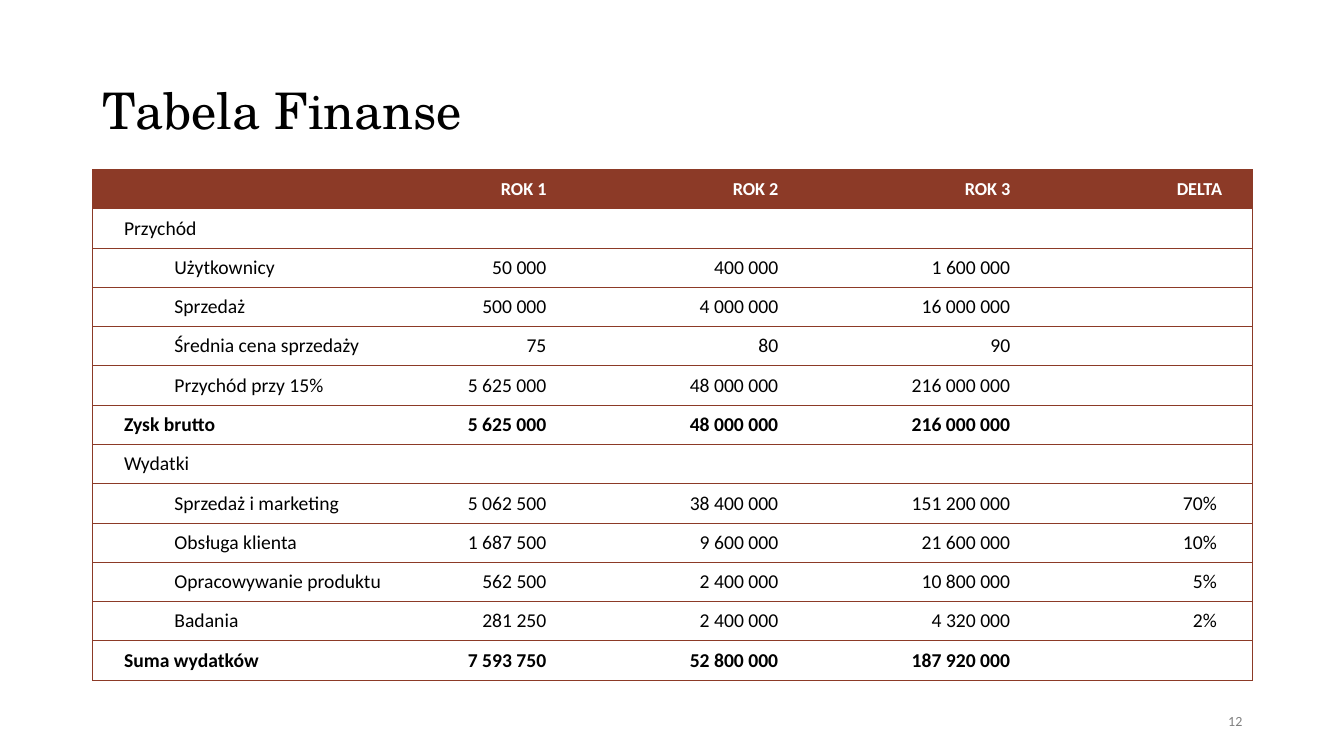
from lxml.etree import SubElement
from pptx import Presentation
from pptx.dml.color import RGBColor
from pptx.enum.text import MSO_ANCHOR, PP_ALIGN
from pptx.oxml import parse_xml
from pptx.oxml.ns import nsdecls, qn
from pptx.util import Inches, Pt

RUST, WHITE, BLACK, GRAY = "8C3A27", "FFFFFF", "000000", "808080"
BODY_FONT, TITLE_FONT = "Calibri", "TeX Gyre Schola"

HEADINGS = ["", "ROK 1", "ROK 2", "ROK 3", "DELTA"]
SECTIONS = [
    ("Przychód", [
        ("Użytkownicy", [50000, 400000, 1600000], ""),
        ("Sprzedaż", [500000, 4000000, 16000000], ""),
        ("Średnia cena sprzedaży", [75, 80, 90], ""),
        ("Przychód przy 15%", [5625000, 48000000, 216000000], ""),
    ], ("Zysk brutto", [5625000, 48000000, 216000000])),
    ("Wydatki", [
        ("Sprzedaż i marketing", [5062500, 38400000, 151200000], "70%"),
        ("Obsługa klienta", [1687500, 9600000, 21600000], "10%"),
        ("Opracowywanie produktu", [562500, 2400000, 10800000], "5%"),
        ("Badania", [281250, 2400000, 4320000], "2%"),
    ], ("Suma wydatków", [7593750, 52800000, 187920000])),
]
COLUMN_WIDTHS = [2.99, 1.61, 2.3, 2.3, 2.3]
ROW_HEIGHT = 0.39


def rgb(color):
    return RGBColor.from_string(color)


def write(paragraph, text, color, **font_values):
    """Fill a paragraph; an empty one keeps the size so its row does not grow."""
    if not text:
        end = SubElement(paragraph._p, qn("a:endParaRPr"))
        end.set("sz", str(font_values["size"].centipoints))
        return
    run = paragraph.add_run()
    run.text = text
    run.font.color.rgb = rgb(color)
    for name, value in font_values.items():
        setattr(run.font, name, value)


def add_label(slide, left, top, width, height, text, color, align, **font_values):
    frame = slide.shapes.add_textbox(
        Inches(left), Inches(top), Inches(width), Inches(height)).text_frame
    frame.word_wrap = True
    frame.vertical_anchor = MSO_ANCHOR.MIDDLE
    paragraph = frame.paragraphs[0]
    paragraph.alignment = align
    write(paragraph, text, color, **font_values)
    return paragraph


def set_borders(cell, visible_sides):
    """Draw the named sides (L, R, T, B) and hide the others."""
    properties = cell._tc.get_or_add_tcPr()
    for position, side in enumerate("LRTB"):
        fill = (f'<a:solidFill><a:srgbClr val="{RUST}"/></a:solidFill>'
                if side in visible_sides else "<a:noFill/>")
        properties.insert(position, parse_xml(
            f'<a:ln{side} {nsdecls("a")} w="{Pt(0.5)}">{fill}</a:ln{side}>'))


def grouped(numbers):
    return [f"{number:,}".replace(",", " ") for number in numbers]


def table_rows():
    """Yield the kind and the cell texts of each row."""
    yield "heading", HEADINGS
    for section, items, (total, sums) in SECTIONS:
        yield "section", [section, "", "", "", ""]
        for item, numbers, delta in items:
            yield "item", [item, *grouped(numbers), delta]
        yield "total", [total, *grouped(sums), ""]


def fill_cell(cell, text, kind, column):
    heading = kind == "heading"
    first, last = column == 0, column == len(HEADINGS) - 1
    cell.fill.solid()
    cell.fill.fore_color.rgb = rgb(RUST if heading else WHITE)
    cell.vertical_anchor = MSO_ANCHOR.MIDDLE
    set_borders(cell, "TB" + "L" * first + "R" * last)
    paragraph = cell.text_frame.paragraphs[0]
    if first:
        cell.margin_left = Inches(0.31)
        if kind == "item":
            paragraph.level = 1
            indent = paragraph._p.get_or_add_pPr()
            indent.set("marL", str(Inches(0.5)))
            indent.set("indent", "0")
    else:
        paragraph.alignment = PP_ALIGN.RIGHT
    if last:
        cell.margin_right = Inches(0.3 if heading else 0.35)
    write(paragraph, text, WHITE if heading else BLACK, name=BODY_FONT,
          size=Pt(13 if heading else 14), bold=kind in ("heading", "total"))


def add_finance_table(slide, left, top):
    rows = list(table_rows())
    table = slide.shapes.add_table(
        len(rows), len(HEADINGS), Inches(left), Inches(top),
        Inches(sum(COLUMN_WIDTHS)), Inches(ROW_HEIGHT * len(rows))).table
    table.horz_banding = False
    for column, width in zip(table.columns, COLUMN_WIDTHS):
        column.width = Inches(width)
    for row, (kind, texts) in enumerate(rows):
        table.rows[row].height = Inches(ROW_HEIGHT)
        for column, text in enumerate(texts):
            fill_cell(table.cell(row, column), text, kind, column)


def main():
    presentation = Presentation()
    presentation.slide_width = Inches(13.33)
    presentation.slide_height = Inches(7.5)
    slide = presentation.slides.add_slide(presentation.slide_layouts[6])
    title = add_label(slide, 0.92, 0.77, 11.5, 0.7, "Tabela Finanse", BLACK,
                      PP_ALIGN.LEFT, name=TITLE_FONT, size=Pt(36))
    title.line_spacing = 0.9
    add_finance_table(slide, 0.92, 1.68)
    add_label(slide, 9.42, 6.95, 3, 0.4, "12", GRAY,
              PP_ALIGN.RIGHT, name=BODY_FONT, size=Pt(10))
    presentation.save("out.pptx")


if __name__ == "__main__":
    main()
